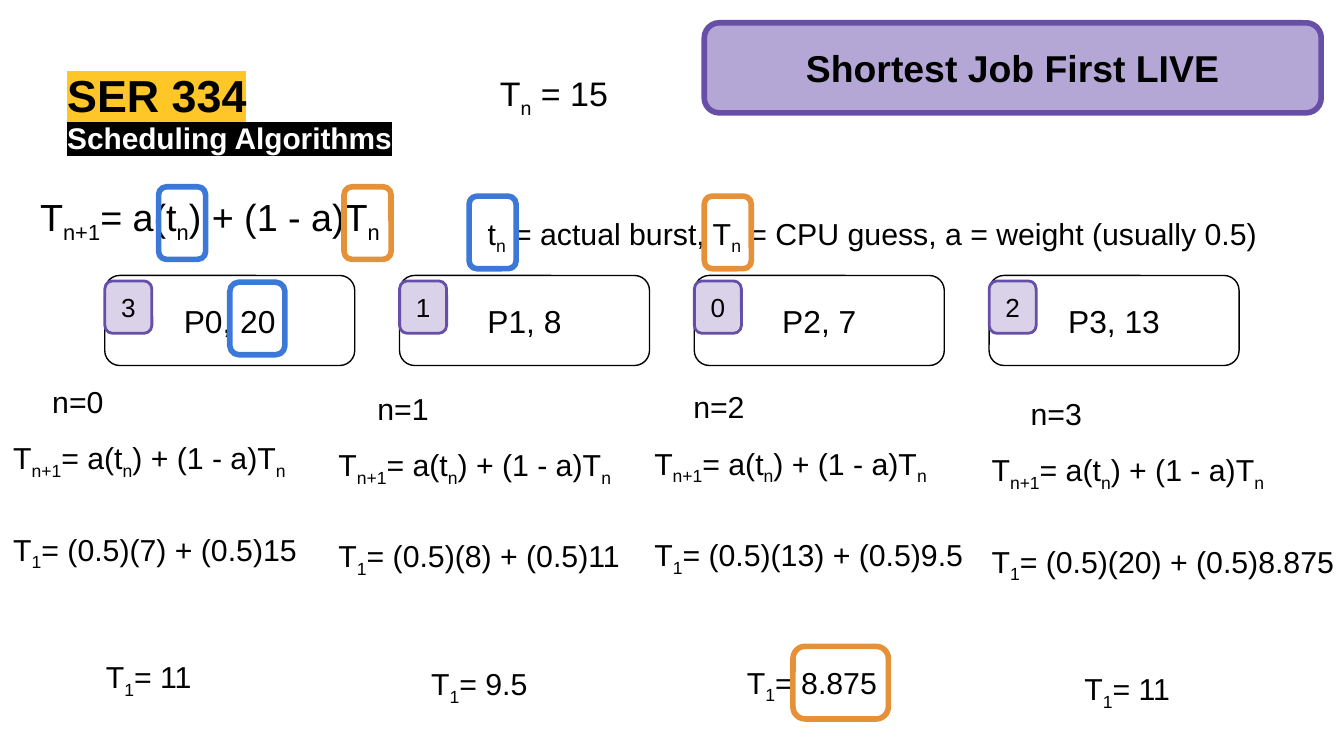
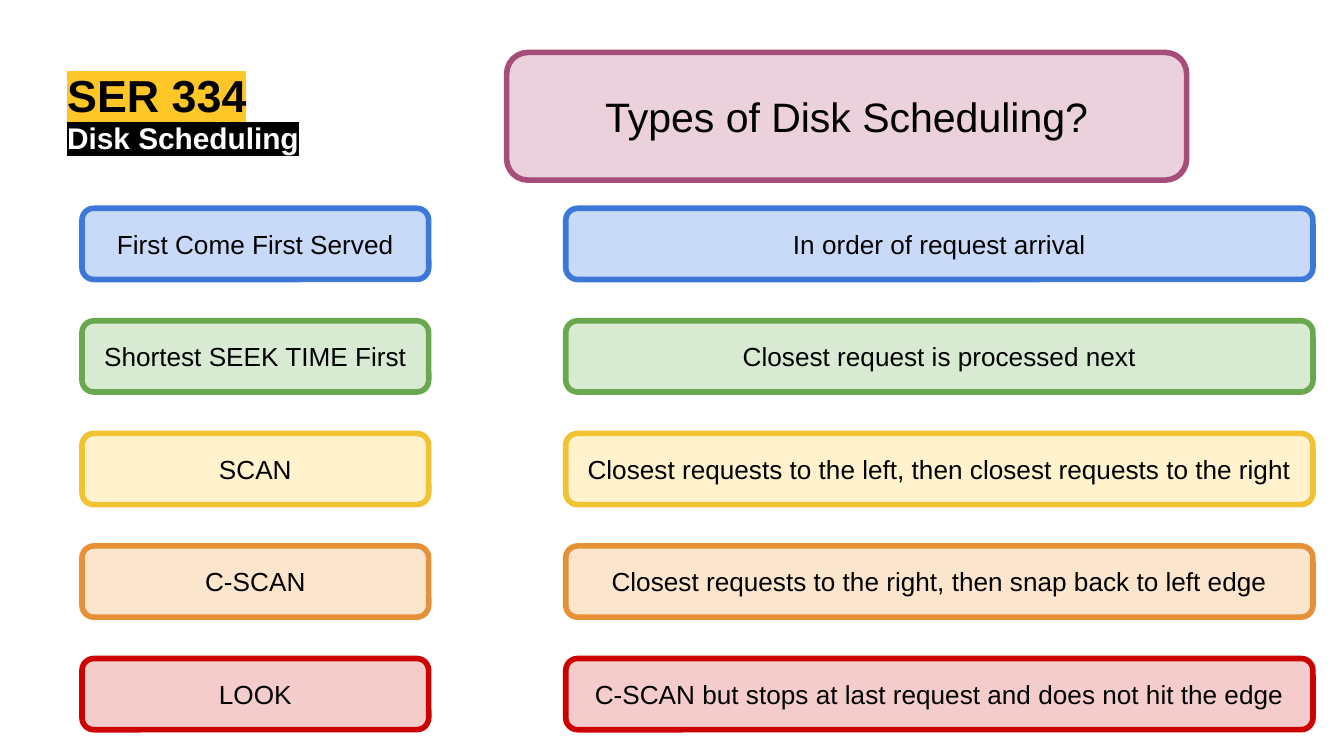
"""Build two SER 334 review slides on job and disk scheduling."""
from lxml.etree import SubElement
from pptx import Presentation
from pptx.dml.color import RGBColor
from pptx.enum.shapes import MSO_SHAPE as Shape
from pptx.enum.text import MSO_ANCHOR as Anchor, MSO_AUTO_SIZE as Fit, PP_ALIGN as Align
from pptx.oxml.ns import qn
from pptx.util import Inches, Pt

COLORS = {
    "black": "000000", "white": "FFFFFF", "gold": "FFC627",
    "purple": "674EA7", "lavender": "B4A7D6", "pale purple": "D9D2E9",
    "plum": "A64D79", "pale plum": "EAD1DC",
    "blue": "3C78D8", "pale blue": "C9DAF8",
    "green": "6AA84F", "pale green": "D9EAD3",
    "yellow": "F1C232", "pale yellow": "FFF2CC",
    "orange": "E69138", "pale orange": "FCE5CD",
    "red": "CC0000", "pale red": "F4CCCC",
}
FORMULA = "T|n+1|= a(t|n|) + (1 - a)T|n"


def add_text(page, place, text, size, color="black", bold=False, highlight=None, box=None):
    """Write text, where | switches subscript on and off, into a new text box or a given box."""
    inset = 0 if highlight else 0.1
    frame_format = {"word_wrap": True}
    for side in ("left", "top", "right", "bottom"):
        frame_format[f"margin_{side}"] = Inches(inset)
    if box is not None:
        frame_format["vertical_anchor"] = Anchor.MIDDLE
    elif not highlight:
        frame_format["auto_size"] = Fit.SHAPE_TO_FIT_TEXT
    target = box if box is not None else page.shapes.add_textbox(*map(Inches, place))
    for name, value in frame_format.items():
        setattr(target.text_frame, name, value)
    para = target.text_frame.paragraphs[0]
    para.alignment = Align.LEFT if box is None else Align.CENTER
    for index, part in enumerate(text.split("|")):
        span = para.add_run()
        span.text = part
        for name, value in {"name": "Arial", "size": Pt(size), "bold": bold}.items():
            setattr(span.font, name, value)
        span.font.color.rgb = RGBColor.from_string(COLORS[color])
        properties = span.font._element
        if index % 2:
            properties.set("baseline", "-25000")
        if highlight:
            mark = SubElement(properties, qn("a:highlight"))
            SubElement(mark, qn("a:srgbClr"), val=COLORS[highlight])
            properties.find(qn("a:solidFill")).addnext(mark)


def add_box(page, place, line, weight=3, fill=None, text=None, size=14, bold=False):
    """Draw a rounded box; without a fill it is an open outline."""
    box = page.shapes.add_shape(Shape.ROUNDED_RECTANGLE, *map(Inches, place))
    box.shadow.inherit = False
    box.line.color.rgb = RGBColor.from_string(COLORS[line])
    box.line.width = Pt(weight)
    if fill:
        box.fill.solid()
        box.fill.fore_color.rgb = RGBColor.from_string(COLORS[fill])
    else:
        box.fill.background()
    if text:
        add_text(page, place, text, size, bold=bold, box=box)


deck = Presentation()
deck.slide_width = Inches(10)
deck.slide_height = Inches(10 * 9 / 16)
pages = []
for topic in ("Scheduling Algorithms", "Disk Scheduling"):
    page = deck.slides.add_slide(deck.slide_layouts[6])
    add_text(page, (0.5, 0.5, 4.85, 0.39), "SER 334", 24, bold=True, highlight="gold")
    add_text(page, (0.5, 0.89, 6.51, 0.29), topic, 16, "white", True, "black")
    pages.append(page)
job_page, disk_page = pages

add_box(job_page, (5.24, 0.17, 4.59, 0.67), "purple", fill="lavender",
        text="Shortest Job First LIVE", size=20, bold=True)

bursts_and_ranks = [(20, 3), (8, 1), (7, 0), (13, 2)]
process_pitch = (7.36 - 0.78) / 3
for number, (burst, rank) in enumerate(bursts_and_ranks):
    left = 0.78 + process_pitch * number
    add_box(job_page, (left, 2.05, 1.86, 0.67), "black", 0.75, "white", f"P{number}, {burst}", 17)
    add_box(job_page, (left, 2.09, 0.35, 0.39), "purple", 1.5, "pale purple", str(rank))

add_text(job_page, (3.62, 0.44, 1.02, 0.51), "T|n| = 15", 18.2)
add_text(job_page, (0.2, 1.34, 3.12, 0.54), FORMULA, 20.2)
add_text(job_page, (3.53, 1.5, 6.27, 0.48),
         "t|n| = actual burst, T|n| = CPU guess, a = weight (usually 0.5)", 16.2)

steps = [
    (0, 0, 2.62, "(0.5)(7) + (0.5)15", "11"),
    (2.42, 0.05, 2.62, "(0.5)(8) + (0.5)11", "9.5"),
    (4.77, 0.04, 2.62, "(0.5)(13) + (0.5)9.5", "8.875"),
    (7.28, 0.09, 2.83, "(0.5)(20) + (0.5)8.875", "11"),
]
for number, (left, drop, width, working, result) in enumerate(steps):
    lines = [
        (0.29, 2.75, 0.61, f"n={number}"),
        (0, 3.17, 2.47, FORMULA),
        (0, 3.85, width, f"T|1|= {working}"),
        (0.69, 4.8, 1.34, f"T|1|= {result}"),
    ]
    for indent, top, line_width, text in lines:
        add_text(job_page, (left + indent, top + drop, line_width, 0.48), text, 16.2)

markers = [
    (2.56, 1.39, 0.35, "orange"), (1.18, 1.39, 0.35, "blue"),
    (3.49, 1.46, 0.35, "blue"), (5.24, 1.46, 0.35, "orange"),
    (5.9, 4.81, 0.71, "orange"), (1.71, 2.1, 0.41, "blue"),
]
for left, top, width, color in markers:
    add_box(job_page, (left, top, width, 0.54), color)

add_box(disk_page, (3.77, 0.39, 5.06, 0.95), "plum", fill="pale plum",
        text="Types of Disk Scheduling?", size=22)

methods = [
    ("blue", "First Come First Served", "In order of request arrival"),
    ("green", "Shortest SEEK TIME First", "Closest request is processed next"),
    ("yellow", "SCAN", "Closest requests to the left, then closest requests to the right"),
    ("orange", "C-SCAN", "Closest requests to the right, then snap back to left edge"),
    ("red", "LOOK", "C-SCAN but stops at last request and does not hit the edge"),
]
row_pitch = (4.9 - 1.55) / 4
for row, (color, method, meaning) in enumerate(methods):
    top = 1.55 + row_pitch * row
    for left, width, text in ((0.61, 2.58, method), (4.21, 5.56, meaning)):
        add_box(disk_page, (left, top, width, 0.53), color, fill=f"pale {color}", text=text)

deck.save("out.pptx")
